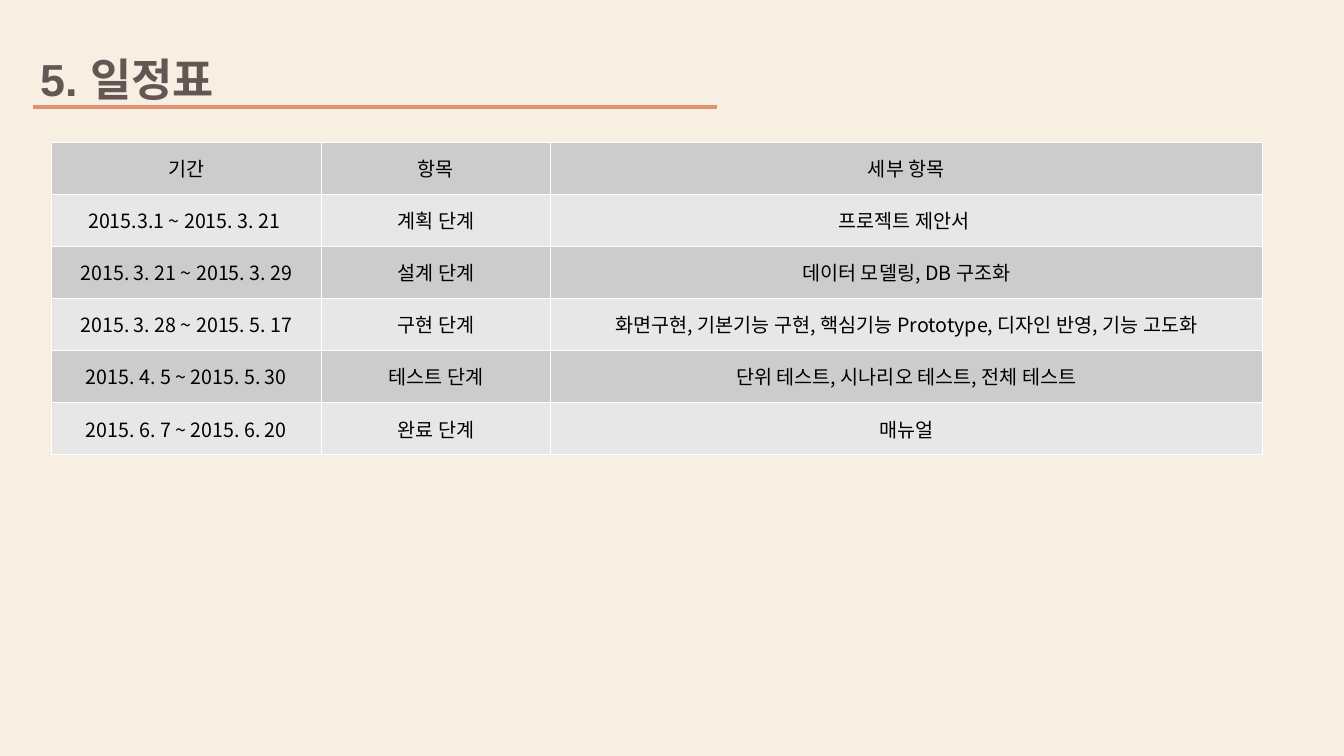
import dataclasses

import pptx
import pptx.dml.color
import pptx.enum.shapes
import pptx.enum.text
import pptx.oxml
import pptx.oxml.ns
import pptx.util

Inches = pptx.util.Inches
Pt = pptx.util.Pt


@dataclasses.dataclass(frozen=True)
class Theme:
    background: str = "F7EFE2"
    title: str = "645654"
    rule: str = "E49173"
    body: str = "000000"
    border: str = "FFFFFF"
    bands: tuple = ("CCCCCC", "E7E7E7")
    title_font: str = "Arial"
    body_font: str = "Noto Sans CJK KR"
    title_size: int = 32
    body_size: int = 14
    rule_width: int = 3
    border_width: int = 1


THEME = Theme()

COLUMN_WIDTHS = (2.68, 2.27, 7.06)
SCHEDULE = (
    ("기간", "항목", "세부 항목"),
    ("2015.3.1 ~ 2015. 3. 21 ", "계획 단계", "프로젝트 제안서 "),
    ("2015. 3. 21 ~ 2015. 3. 29", "설계 단계", "데이터 모델링, DB 구조화"),
    ("2015. 3. 28 ~ 2015. 5. 17", "구현 단계",
     "화면구현, 기본기능 구현, 핵심기능 Prototype, 디자인 반영, 기능 고도화"),
    ("2015. 4. 5 ~ 2015. 5. 30", "테스트 단계",
     "단위 테스트, 시나리오 테스트, 전체 테스트"),
    ("2015. 6. 7 ~ 2015. 6. 20", "완료 단계", "매뉴얼"),
)


def color(code):
    return pptx.dml.color.RGBColor.from_string(code)


def add_span(para, text, font, size, code, bold=False):
    span = para.add_run()
    span.text = text
    span.font.name = font
    span.font.size = Pt(size)
    span.font.bold = bold
    span.font.color.rgb = color(code)
    # Hangul glyphs use the East Asian font slot
    east_asian = pptx.oxml.parse_xml(
        f'<a:ea {pptx.oxml.ns.nsdecls("a")} typeface="{THEME.body_font}"/>')
    span.font._element.append(east_asian)


def add_borders(cell):
    properties = cell._tc.get_or_add_tcPr()
    for index, side in enumerate(("lnL", "lnR", "lnT", "lnB")):
        properties.insert(index, pptx.oxml.parse_xml(
            f'<a:{side} {pptx.oxml.ns.nsdecls("a")} w="{Pt(THEME.border_width)}">'
            f'<a:solidFill><a:srgbClr val="{THEME.border}"/></a:solidFill>'
            f'</a:{side}>'))


def add_heading(page, text, left, top, width):
    # Underline
    rule_left, rule_top = left + 0.03, top + 0.6
    rule = page.shapes.add_connector(
        pptx.enum.shapes.MSO_CONNECTOR.STRAIGHT,
        Inches(rule_left), Inches(rule_top),
        Inches(left + width), Inches(rule_top))
    rule.line.color.rgb = color(THEME.rule)
    rule.line.width = Pt(THEME.rule_width)
    rule._element.spPr.append(pptx.oxml.parse_xml(
        f'<a:effectLst {pptx.oxml.ns.nsdecls("a")}/>'))

    # Title text
    box = page.shapes.add_textbox(
        Inches(left), Inches(top), Inches(2.05), Inches(0.64))
    box.text_frame.word_wrap = False
    box.text_frame.auto_size = pptx.enum.text.MSO_AUTO_SIZE.SHAPE_TO_FIT_TEXT
    add_span(box.text_frame.paragraphs[0], text, THEME.title_font,
             THEME.title_size, THEME.title, bold=True)


def add_schedule(page, left, top, height):
    table = page.shapes.add_table(
        len(SCHEDULE), len(COLUMN_WIDTHS), Inches(left), Inches(top),
        Inches(sum(COLUMN_WIDTHS)), Inches(height)).table
    for column, width in zip(table.columns, COLUMN_WIDTHS):
        column.width = Inches(width)

    # Cells in alternating bands
    for row_index, texts in enumerate(SCHEDULE):
        for column_index, text in enumerate(texts):
            cell = table.cell(row_index, column_index)
            cell.fill.solid()
            cell.fill.fore_color.rgb = color(THEME.bands[row_index % 2])
            cell.vertical_anchor = pptx.enum.text.MSO_ANCHOR.MIDDLE
            add_borders(cell)
            para = cell.text_frame.paragraphs[0]
            para.alignment = pptx.enum.text.PP_ALIGN.CENTER
            add_span(para, text, THEME.body_font, THEME.body_size, THEME.body)


def main():
    deck = pptx.Presentation()
    deck.slide_width, deck.slide_height = Inches(13.33), Inches(7.5)
    page = deck.slides.add_slide(deck.slide_layouts[6])
    page.background.fill.solid()
    page.background.fill.fore_color.rgb = color(THEME.background)
    add_heading(page, "5. 일정표", left=0.3, top=0.46, width=6.81)
    add_schedule(page, left=0.51, top=1.41, height=3.1)
    deck.save("out.pptx")


if __name__ == "__main__":
    main()
